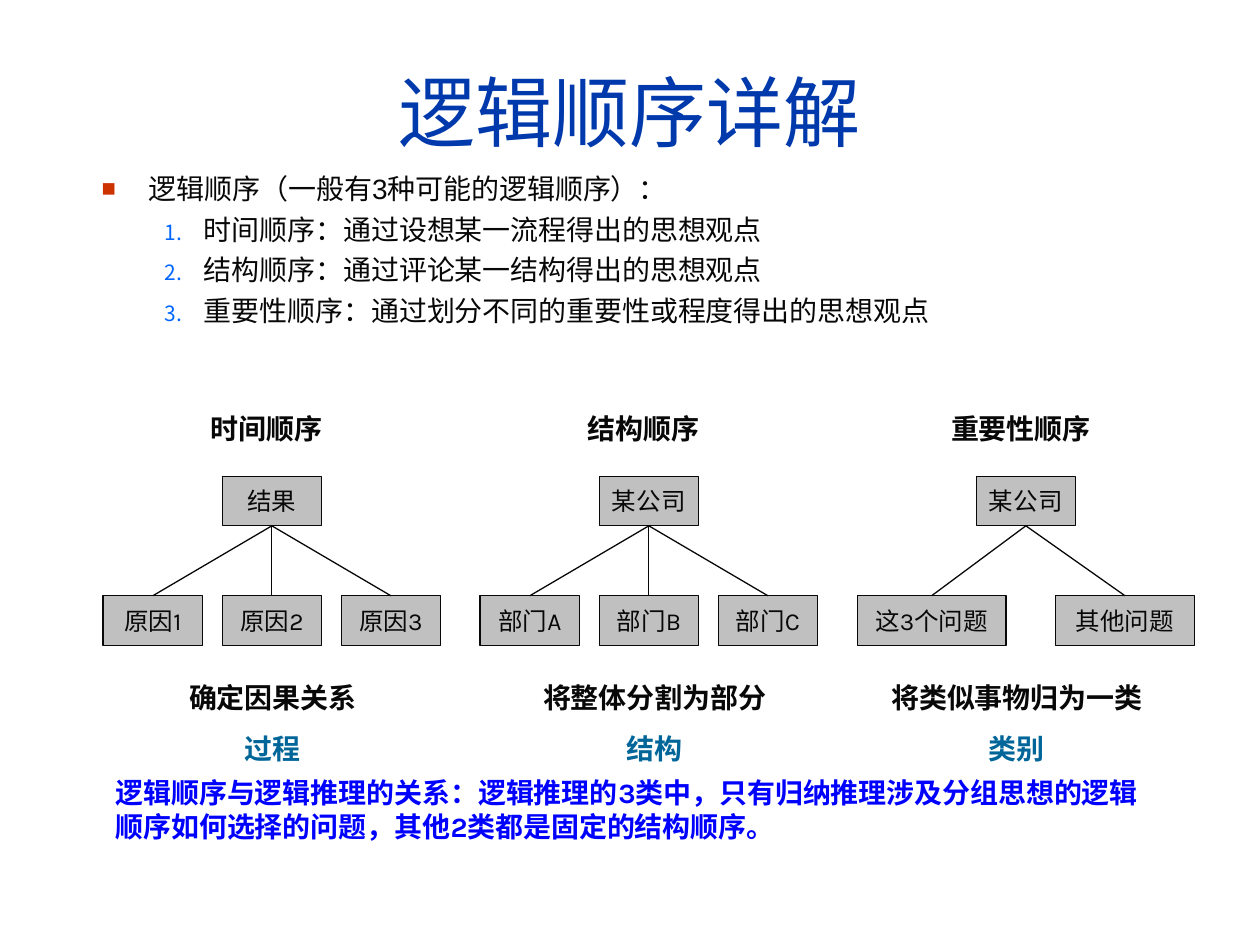
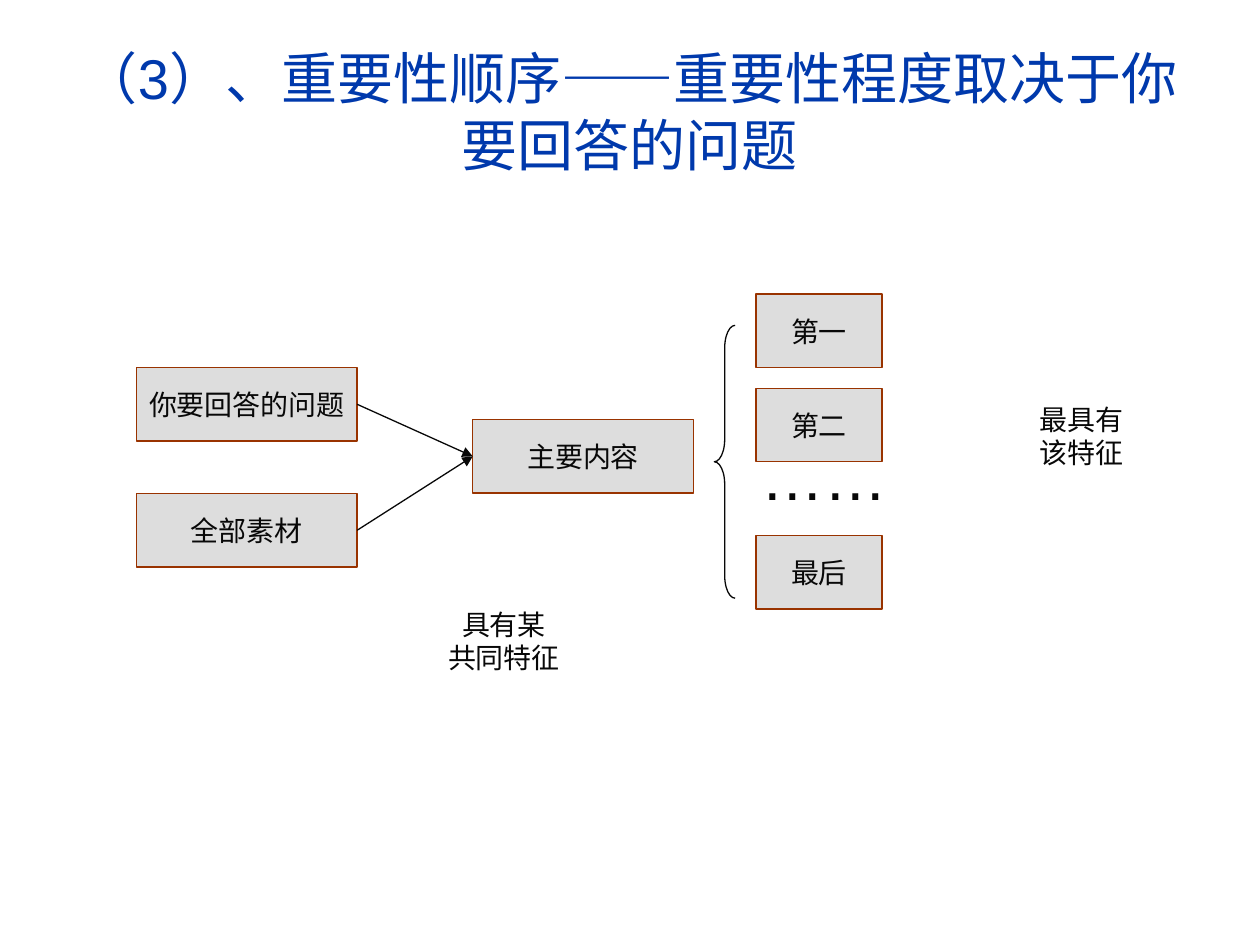
from lxml import etree
from pptx import Presentation
from pptx.dml.color import RGBColor
from pptx.enum.shapes import MSO_CONNECTOR, MSO_SHAPE
from pptx.enum.text import MSO_ANCHOR, MSO_AUTO_SIZE, PP_ALIGN
from pptx.oxml.ns import qn
from pptx.util import Cm, Pt

RECTANGLE, LEFT_BRACE = MSO_SHAPE.RECTANGLE, MSO_SHAPE.LEFT_BRACE
STRAIGHT = MSO_CONNECTOR.STRAIGHT
LEFT, CENTER = PP_ALIGN.LEFT, PP_ALIGN.CENTER
TOP, MIDDLE = MSO_ANCHOR.TOP, MSO_ANCHOR.MIDDLE
SIDE_TOP, SIDE_LEFT, SIDE_BOTTOM, SIDE_RIGHT = range(4)

COLORS = {
    "title": "0039AC", "text": "080808", "category": "006699", "remark": "0000FF",
    "square": "CC3300", "number": "0066FF", "tree_fill": "C0C0C0",
    "flow_fill": "DDDDDD", "flow_line": "993300",
}
FORMATS = {
    "title": {"name": "Arial", "size": Pt(44), "color": "title"},
    "long_title": {"name": "Arial", "size": Pt(32), "color": "title"},
    "body": {"name": "Arial", "size": Pt(16), "color": "text"},
    "heading": {"name": "Karla", "size": Pt(16), "bold": True, "color": "text"},
    "category": {"name": "Karla", "size": Pt(16), "bold": True, "color": "category"},
    "remark": {"name": "Karla", "size": Pt(16), "bold": True, "color": "remark"},
    "tree": {"name": "Karla", "size": Pt(14), "color": "text"},
    "flow": {"name": "Times New Roman", "size": Pt(16), "color": "text"},
    "dots": {"name": "Arial", "size": Pt(36), "color": "text"},
}
TREE_BOX = {"fill": "tree_fill", "line": "text", "style": "tree", "insets": (0.13, 0.1)}
FLOW_BOX = {"fill": "flow_fill", "line": "flow_line", "style": "flow", "wrap": False}
LABEL_INSETS = (0.23, 0.1)

ORDER_TITLE = "逻辑顺序详解"
ORDER_LIST = [
    (0, "逻辑顺序（一般有3种可能的逻辑顺序）："),
    (1, "时间顺序：通过设想某一流程得出的思想观点"),
    (1, "结构顺序：通过评论某一结构得出的思想观点"),
    (1, "重要性顺序：通过划分不同的重要性或程度得出的思想观点"),
]
LEVELS = [
    {"margin": 0.95, "hanging": 0.95, "color": "square", "percent": 85,
     "bullet": ("a:buChar", {"char": "■"})},
    {"margin": 2.06, "hanging": 0.79, "color": "number", "percent": 75,
     "bullet": ("a:buAutoNum", {"type": "arabicPeriod"})},
]
TREES = [
    {"heading": "时间顺序", "root": "结果", "leaf_gap": 0.4,
     "leaves": [("原因1", 2), ("原因2", 2), ("原因3", 2)],
     "caption": "确定因果关系", "category": "过程", "caption_center": 5.5},
    {"heading": "结构顺序", "root": "某公司", "leaf_gap": 0.4,
     "leaves": [("部门A", 2), ("部门B", 2), ("部门C", 2)],
     "caption": "将整体分割为部分", "category": "结构", "caption_center": 13.2},
    {"heading": "重要性顺序", "root": "某公司", "leaf_gap": 1,
     "leaves": [("这3个问题", 3), ("其他问题", 2.8)],
     "caption": "将类似事物归为一类", "category": "类别", "caption_center": 20.5},
]
TREE_LEFT, TREE_STEP, ROOT_OFFSET = 2.08, 7.6, 2.4
ROOT_TOP, LEAF_TOP, ROOT_WIDTH, TREE_BOX_HEIGHT = 9.6, 12.01, 2, 1
REMARK = ("逻辑顺序与逻辑推理的关系：逻辑推理的3类中，只有归纳推理涉及分组思想的逻辑"
          "顺序如何选择的问题，其他2类都是固定的结构顺序。")

IMPORTANCE_TITLE = "（3）、重要性顺序——重要性程度取决于你要回答的问题"
FLOW_HEIGHT = 1.48
INPUTS = [("你要回答的问题", 7.41), ("全部素材", 9.95)]
MAIN_CONTENT = ("主要内容", 8.46)
RANKS = [("第一", 5.93), ("第二", 7.83), ("最后", 10.8)]
TRAITS = [
    (["具有某", "共同特征"], (8.68, 12.07, 2.96, 1.69)),
    (["最具有该特征"], (20.53, 7.94, 2.54, 1.69)),
]


def lengths(*values):
    return [Cm(value) for value in values]


def color(name):
    return RGBColor.from_string(COLORS[name])


def set_font(font, style):
    for attribute, value in FORMATS[style].items():
        if attribute == "color":
            font.color.rgb = color(value)
        else:
            setattr(font, attribute, value)


def write(shape, lines, insets=(0.25, 0.13), anchor=TOP, align=CENTER, wrap=True, gap=0):
    frame = shape.text_frame
    horizontal, vertical = lengths(*insets)
    settings = {
        "margin_left": horizontal, "margin_right": horizontal,
        "margin_top": vertical, "margin_bottom": vertical,
        "vertical_anchor": anchor, "word_wrap": wrap, "auto_size": MSO_AUTO_SIZE.NONE,
    }
    for attribute, value in settings.items():
        setattr(frame, attribute, value)
    for index, (text, style) in enumerate(lines):
        paragraph = frame.add_paragraph() if index else frame.paragraphs[0]
        paragraph.alignment = align
        paragraph.space_before = Pt(gap if index else 0)
        run = paragraph.add_run()
        run.text = text
        set_font(run.font, style)
    return frame


def place(shape, *box):
    for attribute, value in zip(("left", "top", "width", "height"), lengths(*box)):
        setattr(shape, attribute, value)


def add_titled_slide(presentation, layout_name, title, style):
    slide = presentation.slides.add_slide(presentation.slide_layouts.get_by_name(layout_name))
    place(slide.shapes.title, 0.84, 0.64, 23.72, 3.18)
    write(slide.shapes.title, [(title, style)], anchor=MIDDLE)
    return slide


def add_text(slide, box, lines, **options):
    write(slide.shapes.add_textbox(*lengths(*box)), lines, **options)


def add_box(slide, box, text, fill, line, style, **options):
    shape = slide.shapes.add_shape(RECTANGLE, *lengths(*box))
    shape.shadow.inherit = False
    shape.fill.solid()
    shape.fill.fore_color.rgb = color(fill)
    shape.line.color.rgb = color(line)
    shape.line.width = Pt(0.75)
    write(shape, [(text, style)], anchor=MIDDLE, **options)
    return shape


def connect(slide, start, start_side, end, end_side, arrow=False):
    connector = slide.shapes.add_connector(STRAIGHT, 0, 0, 0, 0)
    connector.begin_connect(start, start_side)
    connector.end_connect(end, end_side)
    connector.line.color.rgb = color("text")
    connector.line.width = Pt(0.75)
    properties = connector._element.spPr
    if arrow:
        etree.SubElement(properties.find(qn("a:ln")), qn("a:tailEnd"), type="triangle")
    etree.SubElement(properties, qn("a:effectLst"))


def add_bullet(paragraph, level):
    rule = LEVELS[level]
    paragraph.level = level
    properties = paragraph._p.get_or_add_pPr()
    properties.set("marL", str(Cm(rule["margin"])))
    properties.set("indent", str(-Cm(rule["hanging"])))
    bullet_color = etree.SubElement(properties, qn("a:buClr"))
    etree.SubElement(bullet_color, qn("a:srgbClr"), val=COLORS[rule["color"]])
    etree.SubElement(properties, qn("a:buSzPct"), val=str(rule["percent"] * 1000))
    tag, attributes = rule["bullet"]
    etree.SubElement(properties, qn(tag), attributes)


def add_label(slide, center, top, height, lines):
    width = 0.55 * len(lines[0][0]) + 0.7
    add_text(slide, (center - width / 2, top, width, height), lines,
             insets=LABEL_INSETS, gap=10)


def add_tree(slide, index, tree):
    left = TREE_LEFT + index * TREE_STEP
    root_left = left + ROOT_OFFSET
    root = add_box(slide, (root_left, ROOT_TOP, ROOT_WIDTH, TREE_BOX_HEIGHT),
                   tree["root"], **TREE_BOX)
    for text, width in tree["leaves"]:
        leaf = add_box(slide, (left, LEAF_TOP, width, TREE_BOX_HEIGHT), text, **TREE_BOX)
        connect(slide, root, SIDE_BOTTOM, leaf, SIDE_TOP)
        left += width + tree["leaf_gap"]
    add_label(slide, root_left + ROOT_WIDTH / 2 - 0.1, 8.2, 0.89,
              [(tree["heading"], "heading")])
    add_label(slide, tree["caption_center"], 13.61, 1.93,
              [(tree["caption"], "heading"), (tree["category"], "category")])


def build_order_slide(presentation):
    slide = add_titled_slide(presentation, "Title and Content", ORDER_TITLE, "title")
    body = slide.placeholders[1]
    place(body, 1.8, 3.33, 22.02, 4.8)
    frame = write(body, [(text, "body") for _, text in ORDER_LIST], align=LEFT, gap=4)
    for paragraph, (level, _) in zip(frame.paragraphs, ORDER_LIST):
        add_bullet(paragraph, level)
    for index, tree in enumerate(TREES):
        add_tree(slide, index, tree)
    add_text(slide, (2.1, 15.54, 21.42, 1.57), [(REMARK, "remark")],
             insets=LABEL_INSETS, align=LEFT)


def build_importance_slide(presentation):
    slide = add_titled_slide(presentation, "Title Only", IMPORTANCE_TITLE, "long_title")
    text, top = MAIN_CONTENT
    main_box = add_box(slide, (9.53, top, 4.45, FLOW_HEIGHT), text, **FLOW_BOX)
    for text, top in INPUTS:
        source = add_box(slide, (2.75, top, 4.45, FLOW_HEIGHT), text, **FLOW_BOX)
        connect(slide, source, SIDE_RIGHT, main_box, SIDE_LEFT, arrow=True)
    for text, top in RANKS:
        add_box(slide, (15.24, top, 2.54, FLOW_HEIGHT), text, **FLOW_BOX)
    add_text(slide, (14.6, 8.69, 4.02, 1.78), [("……", "dots")])
    for lines, box in TRAITS:
        add_text(slide, box, [(line, "flow") for line in lines], anchor=MIDDLE)
    brace = slide.shapes.add_shape(LEFT_BRACE, *lengths(14.4, 6.56, 0.42, 5.5))
    brace.shadow.inherit = False
    brace.fill.background()
    brace.line.color.rgb = color("text")
    brace.line.width = Pt(0.75)
    brace.adjustments[0] = 1.08


def main():
    presentation = Presentation()
    presentation.slide_width, presentation.slide_height = lengths(25.4, 19.05)
    build_order_slide(presentation)
    build_importance_slide(presentation)
    presentation.save("out.pptx")


if __name__ == "__main__":
    main()
